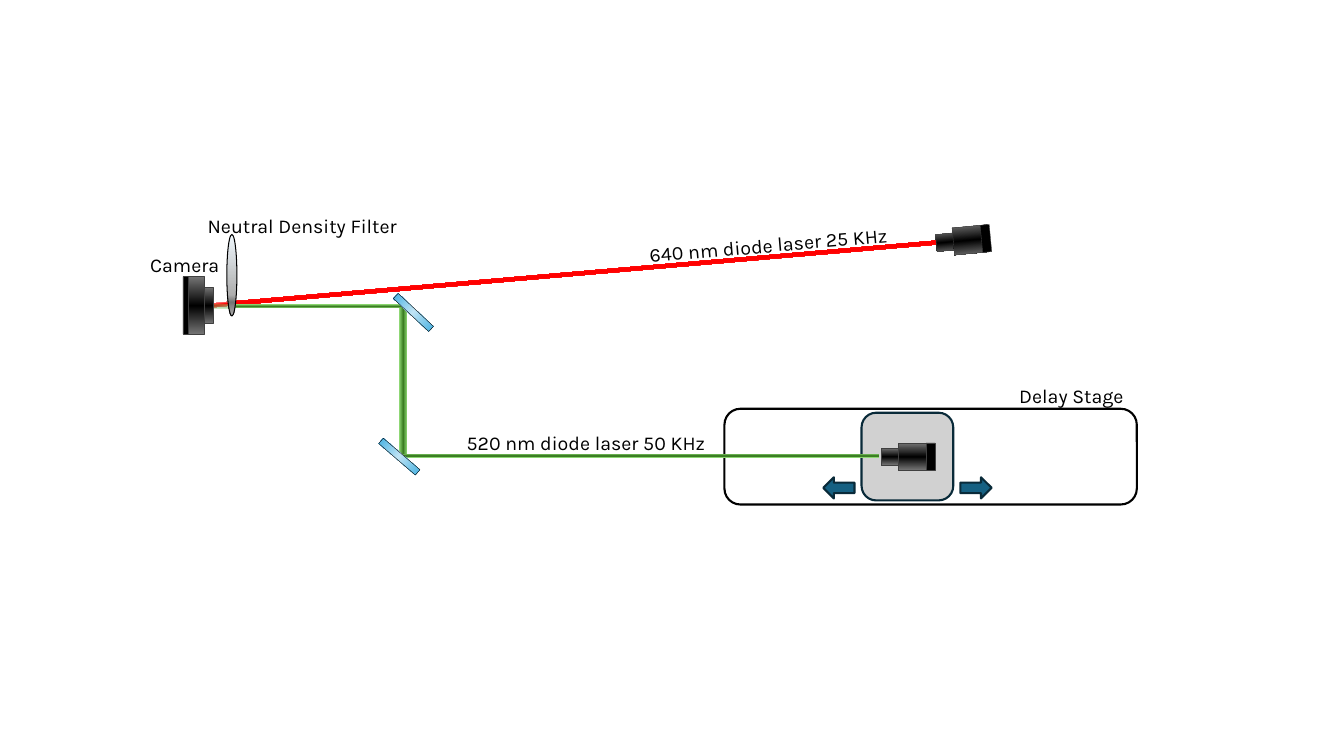
import math

import pptx
import pptx.dml.color
import pptx.enum.shapes
import pptx.enum.text
import pptx.oxml.ns
import pptx.util
from lxml import etree
from pptx.util import Inches

SHAPE = pptx.enum.shapes.MSO_SHAPE
qn = pptx.oxml.ns.qn

# Gradient stops: (position %, colour, opacity %)
RED = [(0, "FFFFFF", 100), (50, "FF0000", 100), (100, "FFFFFF", 100)]
GREEN = [(0, "8ED973", 100), (50, "3B7D23", 100), (100, "8ED973", 100)]
FAINT_GREEN = [(position, color, 40) for position, color, _ in GREEN]
METAL = [(0, "747474", 100), (51, "000000", 100), (100, "747474", 100)]
GLASS = [(0, "46B1E1", 100), (51, "C1E5F5", 100), (100, "46B1E1", 100)]
FILTER = [(0, "F0F8FD", 100), (74, "AEAEAE", 100), (83, "747474", 100), (100, "AEAEAE", 100)]

# Beams: start, end, thickness, gradient
BEAMS_INTO_CAMERA = [
    ((2.11, 3.03), (2.31, 3.01), 0.04, RED),
    ((2.10, 3.04), (2.28, 3.04), 0.04, FAINT_GREEN),
]
BEAMS = [
    ((2.31, 3.01), (9.37, 2.40), 0.04, RED),
    ((4.00, 4.54), (4.00, 3.02), 0.08, GREEN),
    ((2.30, 3.04), (3.98, 3.04), 0.04, GREEN),
    ((3.98, 4.52), (8.72, 4.52), 0.04, GREEN),
]

# Devices: barrel, body and cap as (offset along the axis, length, height)
CAMERA = [(0.09, 0.19, 0.36), (0, 0.19, 0.57), (-0.09, 0.05, 0.57)]
LASER = [(-0.17, 0.35, 0.17), (0, 0.35, 0.27), (0.15, 0.09, 0.27)]

# Centre and rotation
MIRRORS = [((4.10, 3.10), 133.1), ((3.96, 4.53), 130.7)]

# Centre, width, height, fill, line colour
STAGE = [
    (SHAPE.ROUNDED_RECTANGLE, (9.23, 4.53), 4.09, 0.95, "FFFFFF", "000000", 0),
    (SHAPE.ROUNDED_RECTANGLE, (9.00, 4.53), 0.91, 0.87, "D1D1D1", "092A39", 0),
    (SHAPE.RIGHT_ARROW, (9.68, 4.84), 0.31, 0.21, "156082", "092A39", 0),
    (SHAPE.RIGHT_ARROW, (8.32, 4.84), 0.31, 0.21, "156082", "092A39", 180),
]

# Text, left, top, width, rotation
LABELS = [
    ("Delay Stage", 10.01, 3.76, 2.21, 0),
    ("640 nm diode laser 25 KHz", 6.34, 2.24, 3.13, -4.8),
    ("520 nm diode laser 50 KHz", 4.53, 4.23, 3.14, 0),
    ("Camera", 1.39, 2.46, 2.21, 0),
    ("Neutral Density Filter", 1.96, 2.07, 2.21, 0),
]


def rgb(color):
    return pptx.dml.color.RGBColor.from_string(color)


def set_gradient(shape, stops, angle):
    """Fill with any number of stops; the angle runs clockwise."""
    shape.fill.gradient()
    shape.fill.gradient_angle = -angle % 360
    stop_list = next(shape._element.spPr.iter(qn("a:gsLst")))
    for default_stop in list(stop_list):
        stop_list.remove(default_stop)
    for position, color, opacity in stops:
        stop = etree.SubElement(stop_list, qn("a:gs"), pos=str(position * 1000))
        value = etree.SubElement(stop, qn("a:srgbClr"), val=color)
        if opacity < 100:
            etree.SubElement(value, qn("a:alpha"), val=str(opacity * 1000))


def add_part(slide, kind, centre, width, height, fill, line=None, weight=0.25,
             rotation=0, angle=90):
    """Place a shape by its centre; fill is a colour or a list of stops."""
    x, y = centre
    part = slide.shapes.add_shape(kind, Inches(x - width / 2), Inches(y - height / 2),
                                  Inches(width), Inches(height))
    part.shadow.inherit = False
    part.rotation = rotation
    if isinstance(fill, str):
        part.fill.solid()
        part.fill.fore_color.rgb = rgb(fill)
    else:
        set_gradient(part, fill, angle)
    if line:
        part.line.color.rgb = rgb(line)
        part.line.width = pptx.util.Pt(weight)
    else:
        part.line.fill.background()


def add_beam(slide, start, end, thickness, stops):
    dx, dy = end[0] - start[0], end[1] - start[1]
    centre = (start[0] + dx / 2, start[1] + dy / 2)
    add_part(slide, SHAPE.RECTANGLE, centre, thickness, math.hypot(dx, dy), stops,
             rotation=math.degrees(math.atan2(dy, dx)) + 90, angle=0)


def add_device(slide, body_centre, sections, rotation=0):
    x, y = body_centre
    turn = math.radians(rotation)
    for (offset, length, height), fill in zip(sections, (METAL, METAL, "000000")):
        centre = (x + offset * math.cos(turn), y + offset * math.sin(turn))
        add_part(slide, SHAPE.RECTANGLE, centre, length, height, fill, "404040",
                 rotation=rotation)


def add_label(slide, text, left, top, width, rotation=0, size=14, font="Karla",
              color="000000"):
    label = slide.shapes.add_textbox(Inches(left), Inches(top), Inches(width), Inches(0.34))
    label.rotation = rotation
    frame = label.text_frame
    frame.word_wrap = True
    frame.auto_size = pptx.enum.text.MSO_AUTO_SIZE.SHAPE_TO_FIT_TEXT
    run = frame.paragraphs[0].add_run()
    run.text = text
    run.font.size = pptx.util.Pt(size)
    run.font.name = font
    run.font.color.rgb = rgb(color)


def main():
    deck = pptx.Presentation()
    deck.slide_width, deck.slide_height = Inches(13.33), Inches(7.5)
    slide = deck.slides.add_slide(deck.slide_layouts[6])

    for beam in BEAMS_INTO_CAMERA:
        add_beam(slide, *beam)
    add_device(slide, (1.93, 3.03), CAMERA)
    for kind, centre, width, height, fill, line, rotation in STAGE:
        add_part(slide, kind, centre, width, height, fill, line, 1.5, rotation)
    add_device(slide, (9.08, 4.53), LASER)
    for beam in BEAMS:
        add_beam(slide, *beam)
    for centre, rotation in MIRRORS:
        add_part(slide, SHAPE.RECTANGLE, centre, 0.07, 0.48, GLASS, "000000",
                 rotation=rotation)
    add_part(slide, SHAPE.OVAL, (2.30, 2.73), 0.10, 0.81, FILTER, "000000", weight=0)
    for label in LABELS:
        add_label(slide, *label)
    add_device(slide, (9.63, 2.38), LASER, rotation=-5.4)

    deck.save("out.pptx")


if __name__ == "__main__":
    main()
